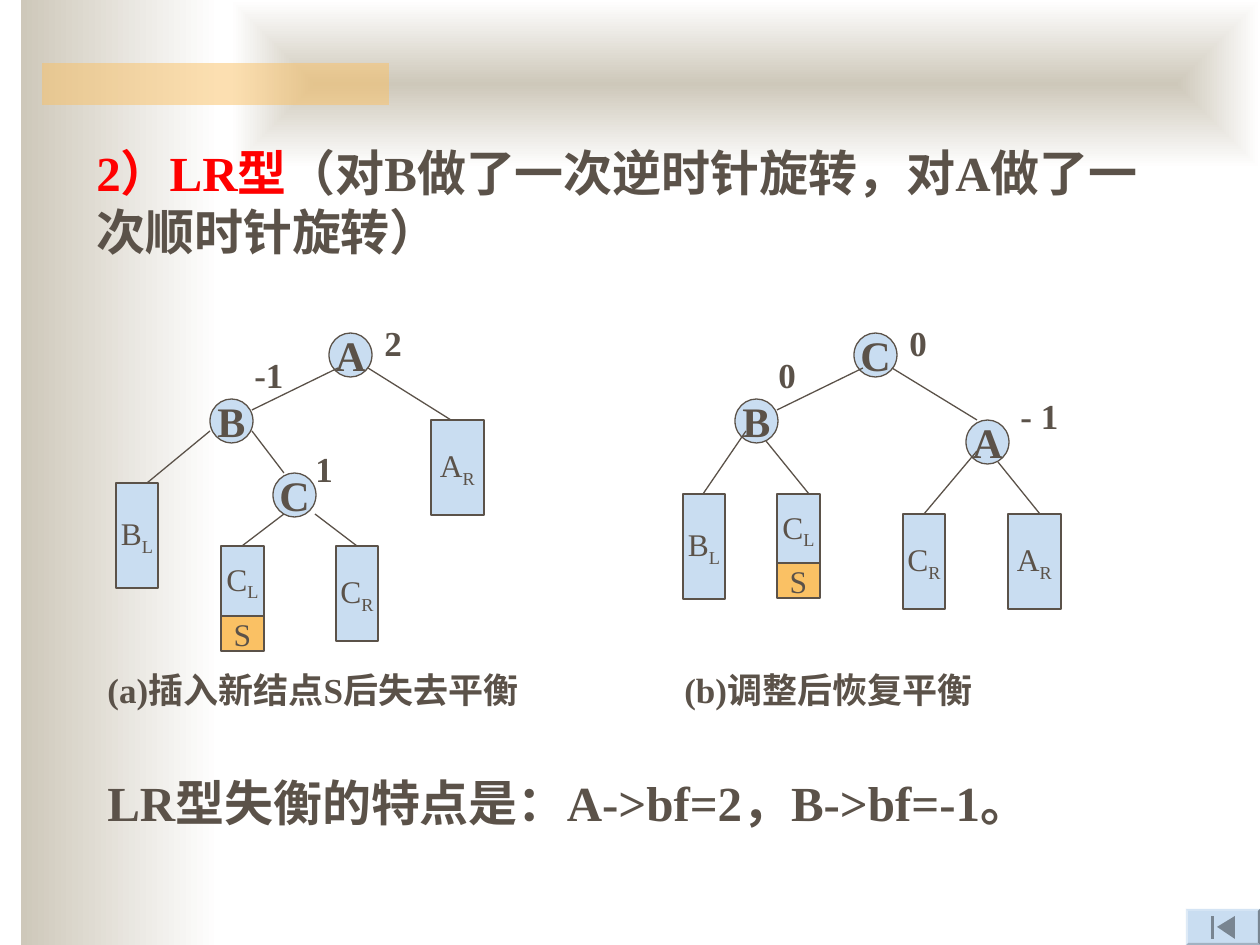
from lxml import etree
from pptx import Presentation
from pptx import util as u
from pptx.dml.color import RGBColor
from pptx.enum import shapes, text
from pptx.oxml.ns import qn

PX = 914400 // 126
INK = RGBColor(0x5B, 0x52, 0x49)
RED = RGBColor(0xFF, 0x00, 0x00)
BLUE = RGBColor(0xC9, 0xDD, 0xF1)
ORANGE = RGBColor(0xFA, 0xC1, 0x64)
SAND = RGBColor(0xCE, 0xC8, 0xBA)
WHITE = RGBColor(0xFF, 0xFF, 0xFF)
LIGHT = RGBColor(0xD4, 0xE4, 0xF4)
PALE = RGBColor(0xDE, 0xEA, 0xF6)
DIM = RGBColor(0xA1, 0xB1, 0xC1)
DARK = RGBColor(0x79, 0x85, 0x91)
LATIN, CJK = "Times New Roman", "Noto Sans CJK SC"
NODE = 43
RECT, OVAL = shapes.MSO_SHAPE.RECTANGLE, shapes.MSO_SHAPE.OVAL

# Text boxes: x, y, width, height, size, [(words, colour), ...]
HEADING = (84, 136, 1102, 131, 28, [
    ("2）LR型", RED), ("（对B做了一次逆时针旋转，对A做了一次顺时针旋转）", INK)])
FEATURE = (95, 766, 1040, 72, 28, [("LR型失衡的特点是：A->bf=2，B->bf=-1。", INK)])

# nodes: name, x, y; subtrees: letter, subscript, x, y, width, height, fill
# edges: x1, y1, x2, y2; labels: words, x, y, width, height
TREES = [
    dict(
        nodes=[("A", 329, 333), ("B", 210, 399), ("C", 273, 473)],
        subtrees=[("B", "L", 116, 483, 42, 105, BLUE), ("C", "L", 221, 546, 43, 70, BLUE),
                  ("S", "", 221, 616, 43, 35, ORANGE), ("C", "R", 336, 546, 42, 95, BLUE),
                  ("A", "R", 431, 420, 53, 95, BLUE)],
        edges=[(338, 368, 252, 410), (368, 368, 451, 420), (210, 431, 147, 483),
               (252, 431, 284, 473), (284, 514, 242, 546), (315, 514, 357, 546)],
        labels=[("2", 372, 315, 43, 55), ("-1", 242, 347, 73, 55), ("1", 303, 441, 53, 55),
                ("(a)插入新结点S后失去平衡", 95, 662, 441, 97)]),
    dict(
        nodes=[("C", 854, 333), ("B", 735, 399), ("A", 966, 420)],
        subtrees=[("B", "L", 683, 494, 42, 105, BLUE), ("C", "L", 777, 494, 43, 70, BLUE),
                  ("S", "", 777, 563, 43, 35, ORANGE), ("C", "R", 903, 514, 42, 95, BLUE),
                  ("A", "R", 1008, 514, 53, 95, BLUE)],
        edges=[(863, 368, 777, 410), (892, 368, 977, 420), (746, 431, 703, 494),
               (766, 441, 809, 494), (977, 451, 924, 514), (998, 462, 1040, 514)],
        labels=[("0", 897, 315, 43, 55), ("0", 766, 347, 53, 55), ("- 1", 1008, 388, 84, 55),
                ("(b)调整后恢复平衡", 672, 662, 378, 55)]),
]

# Navigation button: face, four bevels, arrow and bar
BUTTON = [
    (BLUE, [(1186, 909), (1260, 909), (1260, 945), (1186, 945)]),
    (LIGHT, [(1186, 909), (1260, 909), (1258, 911), (1188, 911)]),
    (DARK, [(1260, 909), (1260, 945), (1258, 943), (1258, 911)]),
    (DIM, [(1260, 945), (1186, 945), (1188, 943), (1258, 943)]),
    (PALE, [(1186, 945), (1186, 909), (1188, 911), (1188, 943)]),
    (DARK, [(1217, 927), (1235, 916), (1235, 939)]),
    (DARK, [(1211, 916), (1214, 916), (1214, 939), (1211, 939)]),
]


def px(*lengths):
    return [u.Emu(length * PX) for length in lengths]


def add_block(parent, kind, place, fill=None, outlined=False):
    shape = parent.add_shape(kind, *px(*place))
    shape.shadow.inherit = False
    if fill is not None:
        shape.fill.solid()
        shape.fill.fore_color.rgb = fill
    if outlined:
        shape.line.color.rgb = INK
        shape.line.width = u.Pt(0.75)
    else:
        shape.line.fill.background()
    return shape


def add_gradient(parent, place):
    fill = add_block(parent, RECT, place).fill
    fill.gradient()
    fill.gradient_angle = 0
    for stop, colour in zip(fill.gradient_stops, (SAND, WHITE)):
        stop.color.rgb = colour
    return fill


def add_span(para, words, size, colour=INK, bold=True):
    span = para.add_run()
    span.text = words
    span.font.size, span.font.bold, span.font.name = u.Pt(size), bold, LATIN
    span.font.color.rgb = colour
    props = span._r.get_or_add_rPr()
    etree.SubElement(props, qn("a:ea")).set("typeface", CJK)
    return props


def add_words(parent, x, y, width, height, size, spans):
    frame = parent.add_textbox(*px(x, y, width, height)).text_frame
    frame.word_wrap = True
    frame.auto_size = text.MSO_AUTO_SIZE.SHAPE_TO_FIT_TEXT
    for words, colour in spans:
        add_span(frame.paragraphs[0], words, size, colour)


def add_label_shape(parent, kind, place, fill, letter, size, bold, subscript=""):
    frame = add_block(parent, kind, place, fill, outlined=True).text_frame
    frame.word_wrap = False
    frame.vertical_anchor = text.MSO_ANCHOR.MIDDLE
    para = frame.paragraphs[0]
    para.alignment = text.PP_ALIGN.CENTER
    add_span(para, letter, size, bold=bold)
    if subscript:
        add_span(para, subscript, size, bold=bold).set("baseline", "-25000")


def add_edge(parent, ends):
    edge = parent.add_connector(shapes.MSO_CONNECTOR.STRAIGHT, *px(*ends))
    edge.line.color.rgb = INK
    edge.line.width = u.Pt(0.75)
    etree.SubElement(edge._element.spPr, qn("a:effectLst"))


def add_tree(page, tree):
    group = page.shapes.add_group_shape().shapes
    for name, x, y in tree["nodes"]:
        add_label_shape(group, OVAL, (x, y, NODE, NODE + 1), BLUE, name, 24, True)
    for letter, subscript, *place, fill in tree["subtrees"]:
        add_label_shape(group, RECT, place, fill, letter, 18, False, subscript)
    for ends in tree["edges"]:
        add_edge(group, ends)
    for words, *place in tree["labels"]:
        add_words(group, *place, 20, [(words, INK)])


def add_background(page):
    # Left strip and top panel
    add_gradient(page.shapes, (21, 0, 199, 945))
    panel = add_gradient(page.shapes, (231, 0, 1029, 168))
    linear = panel._xPr.find(qn("a:gradFill")).find(qn("a:lin"))
    centred = etree.Element(qn("a:path"))
    centred.set("path", "rect")
    middle = etree.SubElement(centred, qn("a:fillToRect"))
    for side in "ltrb":
        middle.set(side, "50000")
    linear.getparent().replace(linear, centred)
    # Translucent bar
    bar = add_block(page.shapes, RECT, (42, 63, 347, 42), ORANGE)
    colour = bar._element.spPr.find(qn("a:solidFill"))[0]
    etree.SubElement(colour, qn("a:alpha")).set("val", "50000")
    # Navigation button
    for fill, points in BUTTON:
        builder = page.shapes.build_freeform(*points[0], scale=PX)
        builder.add_line_segments(points[1:], close=True)
        piece = builder.convert_to_shape()
        piece.shadow.inherit = False
        piece.fill.solid()
        piece.fill.fore_color.rgb = fill
        piece.line.fill.background()


def main():
    deck = Presentation()
    deck.slide_width, deck.slide_height = px(1260, 945)
    page = deck.slides.add_slide(deck.slide_layouts[6])
    add_background(page)
    add_words(page.shapes, *HEADING)
    for tree in TREES:
        add_tree(page, tree)
    add_words(page.shapes, *FEATURE)
    deck.save("out.pptx")


if __name__ == "__main__":
    main()
